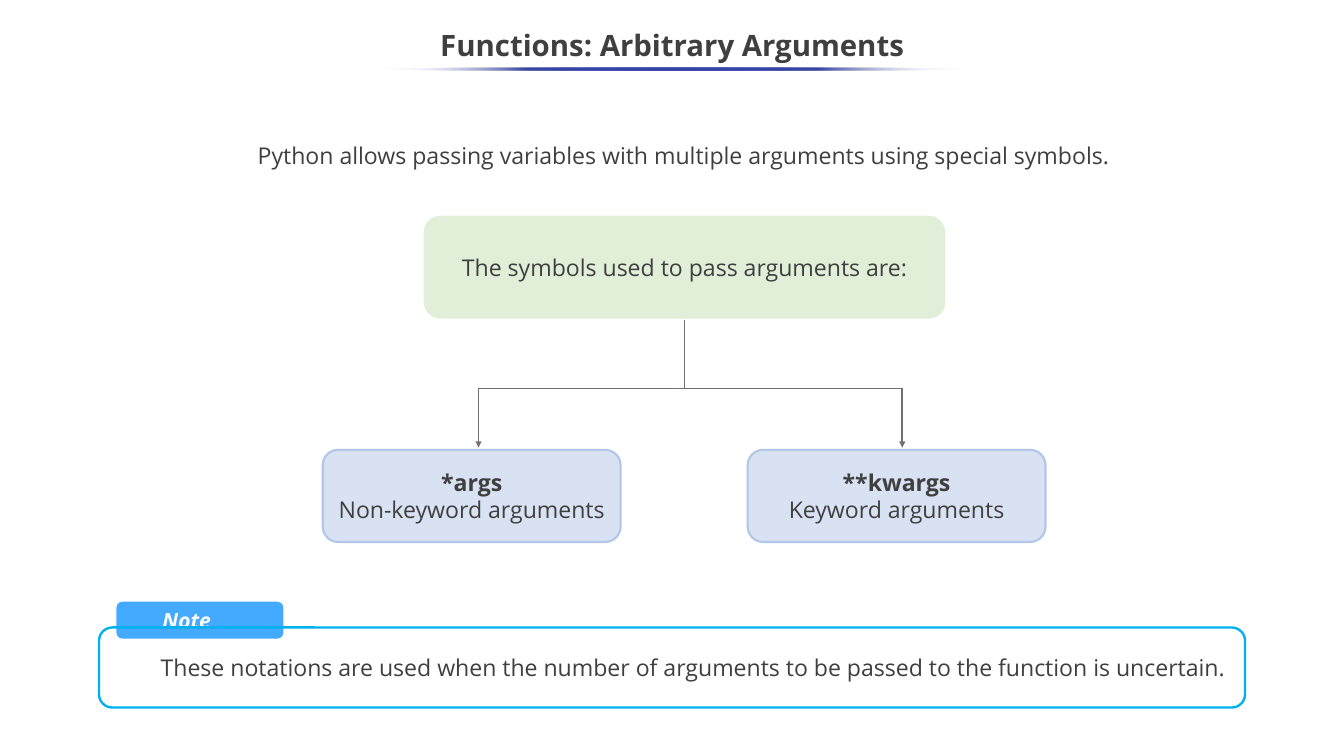
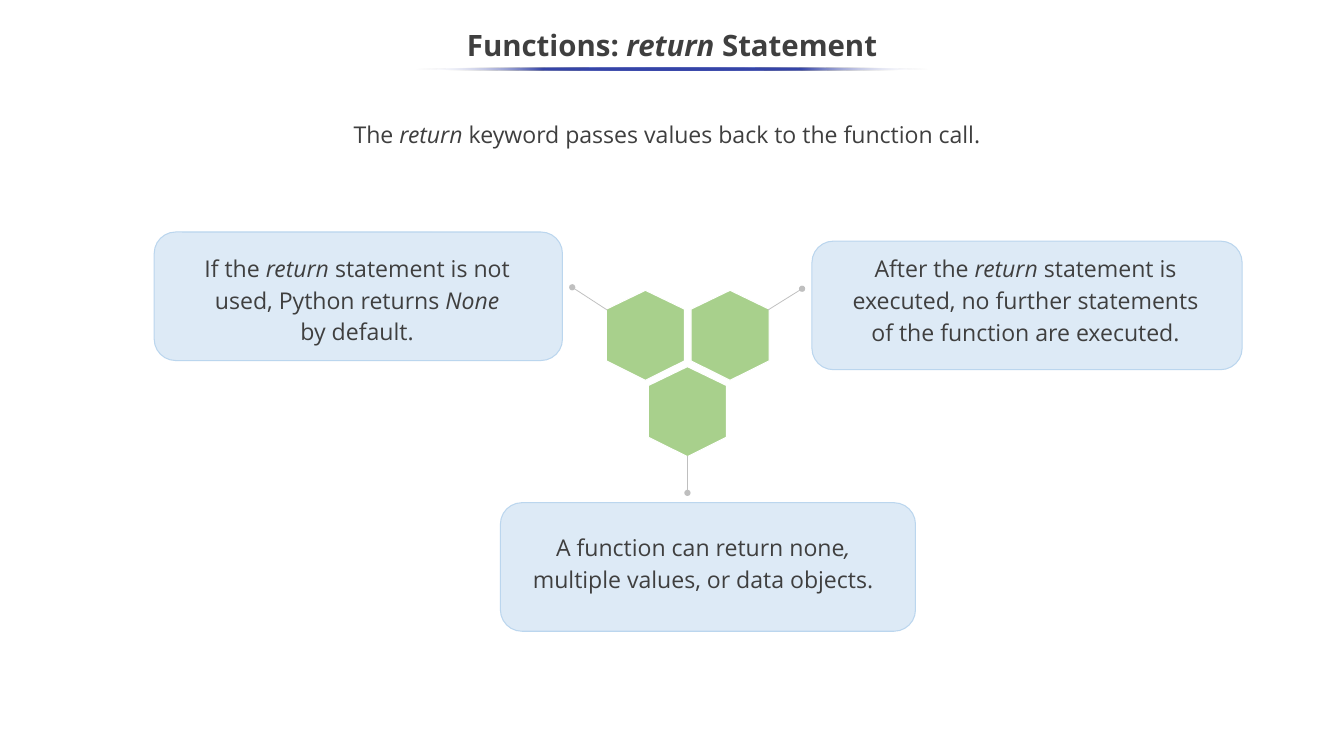
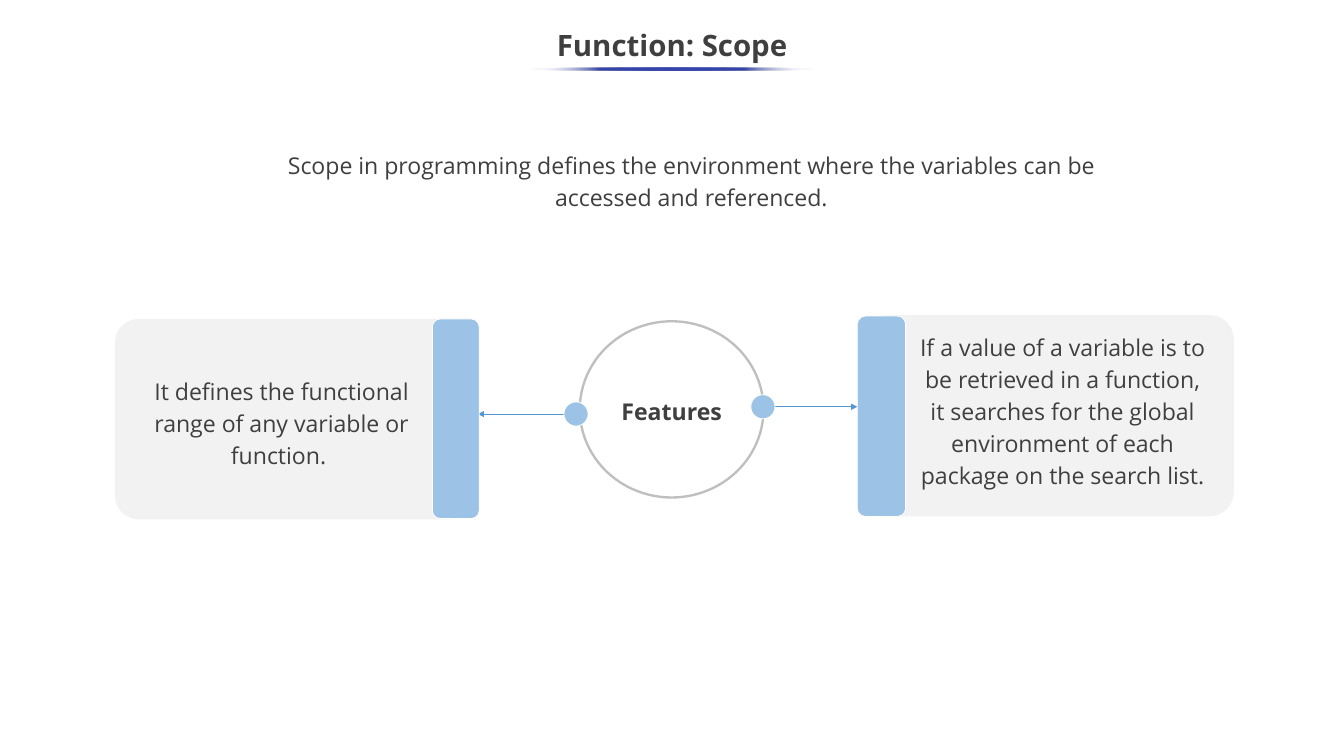
"""Build three slides on Python functions: arbitrary arguments, return and scope."""
from lxml import etree
from pptx import Presentation
from pptx.dml.color import RGBColor
from pptx.enum.shapes import MSO_CONNECTOR, MSO_SHAPE
from pptx.enum.text import MSO_ANCHOR, PP_ALIGN
from pptx.oxml.ns import qn
from pptx.util import Pt

ROUND, OVAL = MSO_SHAPE.ROUNDED_RECTANGLE, MSO_SHAPE.OVAL
STRAIGHT = MSO_CONNECTOR.STRAIGHT
TOP, MIDDLE = MSO_ANCHOR.TOP, MSO_ANCHOR.MIDDLE
LEFT, CENTER = PP_ALIGN.LEFT, PP_ALIGN.CENTER
FONT = "Open Sans"
INK, WHITE, INDIGO = "3F3F3F", "FFFFFF", "3645A9"
GREY, SILVER = "757070", "BFBFBF"
MINT, LEAF = "E1EFD8", "A8D08C"
PALE, PALE_EDGE = "DDEAF6", "BBD6EE"
LILAC, LILAC_EDGE = "D8E2F3", "B3C6E7"
SKY, ARROW_BLUE, PANEL = "9CC2E5", "5597D3", "F2F2F2"
NOTE_BLUE, NOTE_EDGE = "44AAFE", "00B0F0"
rgb = RGBColor.from_string


def style(shape, text="", fill=None, line=None, width=1, size=22, color=INK, bold_lines=0,
          spacing=None, align=CENTER, anchor=MIDDLE, insets=(7.2, 7.2)):
    """Format a shape and its text; underscores enclose italic words."""
    shape.shadow.inherit = False
    if fill:
        shape.fill.solid()
        shape.fill.fore_color.rgb = rgb(fill)
    else:
        shape.fill.background()
    if line:
        shape.line.color.rgb = rgb(line)
        shape.line.width = Pt(width)
    else:
        shape.line.fill.background()
    if not text:
        return shape
    frame = shape.text_frame
    frame.word_wrap = True
    frame.vertical_anchor = anchor
    frame.margin_left, frame.margin_right = map(Pt, insets)
    for row, content in enumerate(text.split("\n")):
        paragraph = frame.add_paragraph() if row else frame.paragraphs[0]
        paragraph.alignment = align
        paragraph.line_spacing = spacing
        for part, words in enumerate(content.split("_")):
            if words:
                run = paragraph.add_run()
                run.text = words
                run.font.name, run.font.size = FONT, Pt(size)
                run.font.color.rgb = rgb(color)
                run.font.bold = row < bold_lines
                run.font.italic = part % 2 == 1
    return shape


def link(shapes, start, end, color, width, tip=None):
    """Draw a straight connector with an optional end mark."""
    connector = shapes.add_connector(STRAIGHT, *map(Pt, start + end))
    connector.line.color.rgb = rgb(color)
    connector.line.width = Pt(width)
    properties = connector._element.spPr
    if tip:
        etree.SubElement(properties.find(qn("a:ln")), qn("a:tailEnd"), type=tip)
    etree.SubElement(properties, qn("a:effectLst"))
    return connector


deck = Presentation()
deck.slide_width, deck.slide_height = Pt(1280), Pt(720)

pages = []
for heading, rule_width in [("Functions: Arbitrary Arguments", 554),
                            ("Functions: _return_ Statement", 489),
                            ("Function: Scope", 274)]:
    shapes = deck.slides.add_slide(deck.slide_layouts[5]).shapes
    pages.append(shapes)
    title = shapes.title
    title.left, title.top, title.width, title.height = map(Pt, (0, 18, 1280, 54))
    style(title, heading, size=28, bold_lines=1, spacing=0.9)
    rule = style(shapes.add_shape(OVAL, *map(Pt, (640 - rule_width / 2, 64, rule_width, 3))))
    rule.fill.gradient()
    rule.fill.gradient_angle = 180
    stops = rule._element.spPr.find(".//" + qn("a:gsLst"))
    stops.clear()
    for percent in range(0, 101, 25):
        edge = percent in (0, 100)
        stop = etree.SubElement(stops, qn("a:gs"), pos=str(percent * 1000))
        tint = etree.SubElement(stop, qn("a:srgbClr"), val=WHITE if edge else INDIGO)
        if edge:
            etree.SubElement(tint, qn("a:alpha"), val="0")
arguments, returns, scope = pages

style(arguments.add_shape(ROUND, *map(Pt, (206.6, 113, 889, 70.6))),
      "Python allows passing variables with multiple arguments using special symbols.")
symbols = style(arguments.add_shape(ROUND, *map(Pt, (402.5, 204.5, 499, 100))),
                "The symbols used to pass arguments are:", fill=MINT, line=WHITE, width=2)
stem = link(arguments, (652, 304.5), (652, 370), GREY, 1.5)
stem.begin_connect(symbols, 2)
link(arguments, (455.8, 370), (859.3, 370), GREY, 1.5)
for branch_x, box_left, symbol in [(455.8, 307.4, "*args\nNon-keyword arguments"),
                                   (859.3, 712.1, "**kwargs\nKeyword arguments")]:
    link(arguments, (branch_x, 370), (branch_x, 426.3), GREY, 1.5, "triangle")
    style(arguments.add_shape(ROUND, *map(Pt, (box_left, 428.4, 283.7, 87.8))), symbol,
          fill=LILAC, line=LILAC_EDGE, width=2, bold_lines=1)
style(arguments.add_shape(ROUND, *map(Pt, (110.9, 573, 159, 35.3))), fill=NOTE_BLUE)
style(arguments.add_textbox(*map(Pt, (147.6, 574.6, 114.5, 21.6))), "_Note_",
      size=20, color=WHITE, bold_lines=1, align=LEFT, anchor=TOP)
style(arguments.add_textbox(*map(Pt, (134, 619.2, 1052, 52.6))),
      "These notations are used when the number of arguments to be passed"
      " to the function is uncertain.", anchor=TOP)
style(arguments.add_shape(ROUND, *map(Pt, (94.3, 597.6, 1091.5, 76.3))),
      line=NOTE_EDGE, width=2.25)

style(returns.add_shape(ROUND, *map(Pt, (193.7, 92.2, 889, 70.6))),
      "The _return_ keyword passes values back to the function call. ")
for card, inner, insets, statement in [
        ((146.9, 221, 388.8, 122.4), (181.4, 237.6, 310.3, 92), (7.2, 0),
         "If the _return_ statement is not used, Python returns _None_ by default."),
        ((773.3, 229.7, 409.7, 122.4), (800.6, 238.3, 359.3, 92), (0, 7.2),
         "After the _return _statement is executed, no further statements"
         " of the function are executed."),
        ((476.6, 478.8, 395.3, 122.4), (490.3, 488.9, 365.8, 92), (0, 7.2),
         "A function can return none_, _multiple values, or data objects.")]:
    style(returns.add_shape(ROUND, *map(Pt, card)), fill=PALE, line=PALE_EDGE)
    style(returns.add_shape(ROUND, *map(Pt, inner)), statement, fill=PALE,
          spacing=1.15, insets=insets)
for x, y, start, end in [(614.7, 276.5, (578.2, 295.2), (545, 273.6)),
                         (695.3, 276.5, (731.5, 295.2), (763.9, 275)),
                         (654.7, 349.2, (654.7, 434.2), (654.7, 469.4))]:
    corners = [(37.2, 18), (37.2, 67.2), (0, 85.7), (-37.2, 67.2), (-37.2, 18)]
    outline = returns.build_freeform(Pt(x), Pt(y), scale=1.0)
    outline.add_line_segments([(Pt(x + dx), Pt(y + dy)) for dx, dy in corners])
    style(outline.convert_to_shape(), fill=LEAF, line=WHITE)
    link(returns, start, end, SILVER, 0.75, "oval")

style(scope.add_textbox(*map(Pt, (239.8, 136.8, 837.4, 66.2))),
      "Scope in programming defines the environment where the variables"
      " can be accessed and referenced.", spacing=1.15, anchor=TOP)
style(scope.add_shape(OVAL, *map(Pt, (552.2, 306, 175, 167.8))), "Features",
      fill=WHITE, line=SILVER, width=2.25, bold_lines=1, spacing=1.15)
for dot_x, dot_y, start_x, end_x, panel, bar, note, feature in [
        (548.6, 394.3, 537.8, 455, (109.4, 303.8, 342, 190.8), (411.8, 303.8, 44.6, 190),
         (123.8, 352, 288.7, 100), "It defines the functional range of any variable or function. "),
        (726.6, 387.4, 732.2, 816.5, (821.5, 300.2, 353.5, 191.5), (816.5, 301, 46, 190.8),
         (866.2, 310.3, 291.6, 198.7),
         "If a value of a variable is to be retrieved in a function, it searches"
         " for the global environment of each package on the search list.")]:
    link(scope, (start_x, dot_y), (end_x, dot_y), ARROW_BLUE, 0.75, "triangle")
    style(scope.add_shape(OVAL, *map(Pt, (dot_x - 11.5, dot_y - 11.5, 23, 23))),
          fill=SKY, line=WHITE, width=0.75)
    backdrop = style(scope.add_shape(ROUND, *map(Pt, panel)), fill=PANEL)
    backdrop.adjustments[0] = 0.12
    style(scope.add_shape(ROUND, *map(Pt, bar)), fill=SKY, line=WHITE, width=0.75)
    style(scope.add_textbox(*map(Pt, note)), feature, spacing=1.15, anchor=TOP)

deck.save("out.pptx")
